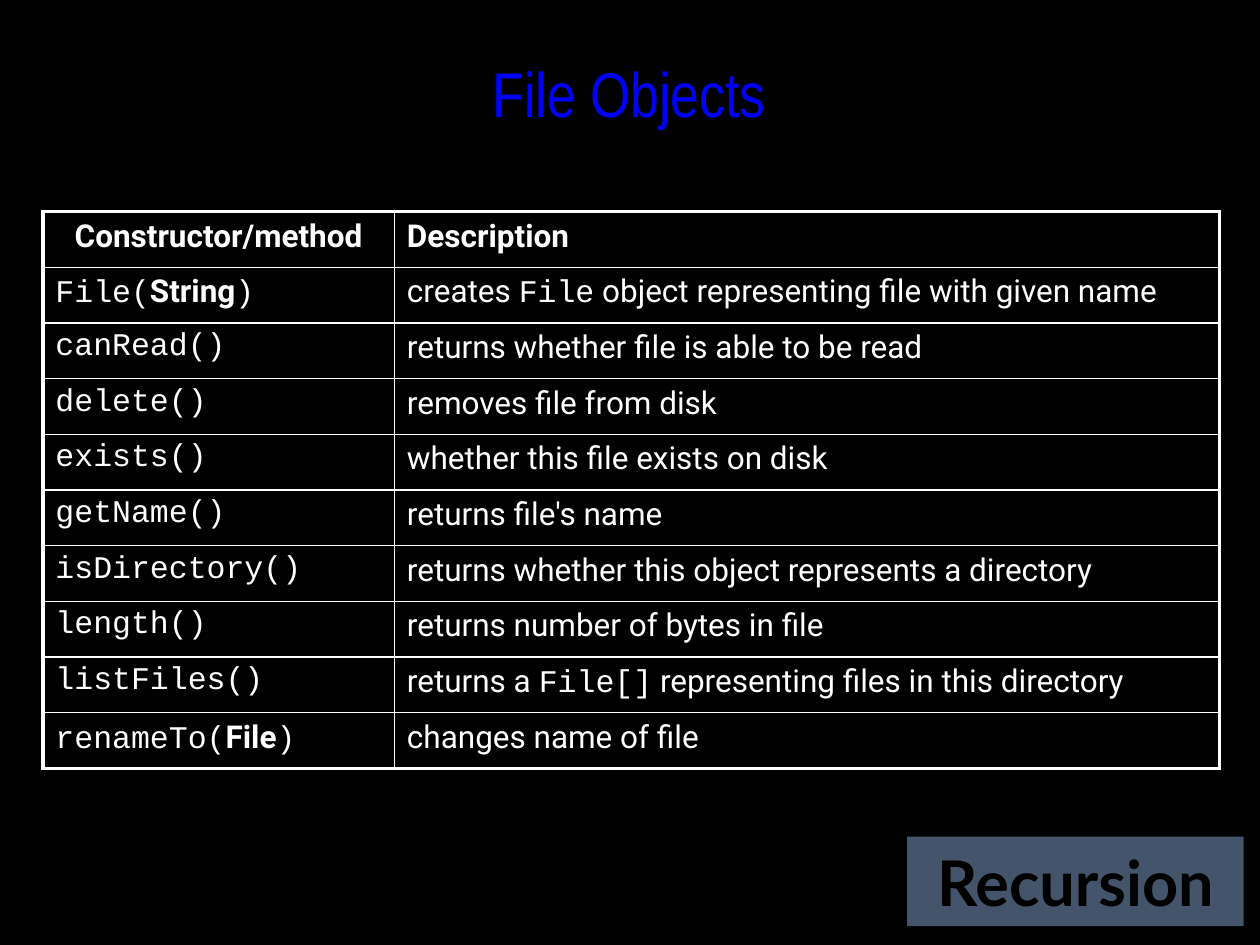
from lxml.etree import SubElement
from pptx import Presentation
from pptx.dml.color import RGBColor
from pptx.enum.shapes import MSO_SHAPE
from pptx.enum.text import MSO_ANCHOR, PP_ALIGN
from pptx.oxml.ns import qn
from pptx.util import Inches, Pt

THEME = {
    "background": "000000", "title": "0000FF", "title_outline": "FFFF00",
    "text": "FFFFFF", "rule": "FFFFFF", "badge": "44546A", "badge_text": "000000",
    "title_font": "Arial Narrow", "body_font": "Roboto",
    "code_font": "Courier New", "badge_font": "Lato",
    "display_size": 36, "body_size": 18, "inner_line": 1, "outer_line": 2.25,
}

TITLE = "File Objects"
BADGE = "Recursion"
HEADINGS = ("Constructor/method", "Description")
# Each cell is a list of (text, style) pieces.
METHODS = [
    ([("File(", "code"), ("String", "bold"), (")", "code")],
     [("creates ", "body"), ("File", "code"),
      (" object representing file with given name", "body")]),
    ([("canRead()", "code")], [("returns whether file is able to be read", "body")]),
    ([("delete()", "code")], [("removes file from disk", "body")]),
    ([("exists()", "code")], [("whether this file exists on disk", "body")]),
    ([("getName()", "code")], [("returns file's name", "body")]),
    ([("isDirectory()", "code")],
     [("returns whether this object represents a directory", "body")]),
    ([("length()", "code")], [("returns number of bytes in file", "body")]),
    ([("listFiles()", "code")],
     [("returns a ", "body"), ("File[]", "code"),
      (" representing files in this directory", "body")]),
    ([("renameTo(", "code"), ("File", "bold"), (")", "code")],
     [("changes name of file", "body")]),
]
COLUMN_WIDTHS = (2.79, 6.55)
TABLE_LEFT, TABLE_TOP, TABLE_HEIGHT = 0.34, 1.68, 4.42

STYLES = {
    "body": {"font": THEME["body_font"]},
    "bold": {"font": THEME["body_font"], "bold": True},
    "code": {"font": THEME["code_font"]},
}


def color(key):
    return RGBColor.from_string(THEME[key])


def add_text(paragraph, text, font, size=THEME["body_size"], fill="text",
             bold=False, align=PP_ALIGN.LEFT):
    run = paragraph.add_run()
    run.text = text
    run.font.name = font
    run.font.size = Pt(size)
    run.font.bold = bold
    run.font.color.rgb = color(fill)
    paragraph.alignment = align
    return run


def add_solid_line(parent, tag, width, key):
    line = SubElement(parent, qn(tag), w=str(Pt(width)))
    solid = SubElement(line, qn("a:solidFill"))
    SubElement(solid, qn("a:srgbClr"), val=THEME[key])
    return line


def set_borders(cell, outer_sides):
    """Rule all four sides, heavier on the table's outer edge."""
    properties = cell._tc.get_or_add_tcPr()
    for position, side in enumerate("LRTB"):
        width = THEME["outer_line" if side in outer_sides else "inner_line"]
        line = add_solid_line(properties, f"a:ln{side}", width, "rule")
        properties.insert(position, line)


def add_title(slide):
    title = slide.shapes.title
    title.left, title.top = Inches(1.58), Inches(0.33)
    title.width, title.height = Inches(6.83), Inches(0.92)
    frame = title.text_frame
    frame.word_wrap = False
    frame.vertical_anchor = MSO_ANCHOR.TOP
    frame.margin_top = Inches(0.1)
    run = add_text(frame.paragraphs[0], TITLE, THEME["title_font"],
                   size=THEME["display_size"], fill="title", align=PP_ALIGN.CENTER)
    properties = run.font._element
    outline = add_solid_line(properties, "a:ln", 0.75, "title_outline")
    properties.insert(0, outline)


def add_badge(slide):
    badge = slide.shapes.add_shape(MSO_SHAPE.RECTANGLE, Inches(7.2), Inches(6.64),
                                   Inches(2.67), Inches(0.71))
    badge.shadow.inherit = False
    badge.fill.solid()
    badge.fill.fore_color.rgb = color("badge")
    badge.line.fill.background()
    frame = badge.text_frame
    frame.word_wrap = False
    frame.vertical_anchor = MSO_ANCHOR.MIDDLE
    add_text(frame.paragraphs[0], BADGE, THEME["badge_font"],
             size=THEME["display_size"], fill="badge_text", bold=True,
             align=PP_ALIGN.CENTER)


def add_method_table(slide):
    rows = [tuple([(heading, "bold")] for heading in HEADINGS)] + METHODS
    table = slide.shapes.add_table(
        len(rows), len(HEADINGS), Inches(TABLE_LEFT), Inches(TABLE_TOP),
        Inches(sum(COLUMN_WIDTHS)), Inches(TABLE_HEIGHT)).table
    table.first_row = table.horz_banding = False
    for column, width in zip(table.columns, COLUMN_WIDTHS):
        column.width = Inches(width)
    for row_index, row in enumerate(rows):
        for column_index, pieces in enumerate(row):
            cell = table.cell(row_index, column_index)
            cell.fill.solid()
            cell.fill.fore_color.rgb = color("background")
            outer_sides = "LR"[column_index]
            if row_index == 0:
                outer_sides += "T"
            if row_index == len(rows) - 1:
                outer_sides += "B"
            set_borders(cell, outer_sides)
            centered = row_index == column_index == 0
            align = PP_ALIGN.CENTER if centered else PP_ALIGN.LEFT
            for text, style in pieces:
                add_text(cell.text_frame.paragraphs[0], text, align=align,
                         **STYLES[style])


def main():
    presentation = Presentation()
    presentation.slide_width, presentation.slide_height = Inches(10), Inches(7.5)
    slide = presentation.slides.add_slide(presentation.slide_layouts[5])
    slide.background.fill.solid()
    slide.background.fill.fore_color.rgb = color("background")
    add_badge(slide)
    add_title(slide)
    add_method_table(slide)
    presentation.save("out.pptx")


if __name__ == "__main__":
    main()
